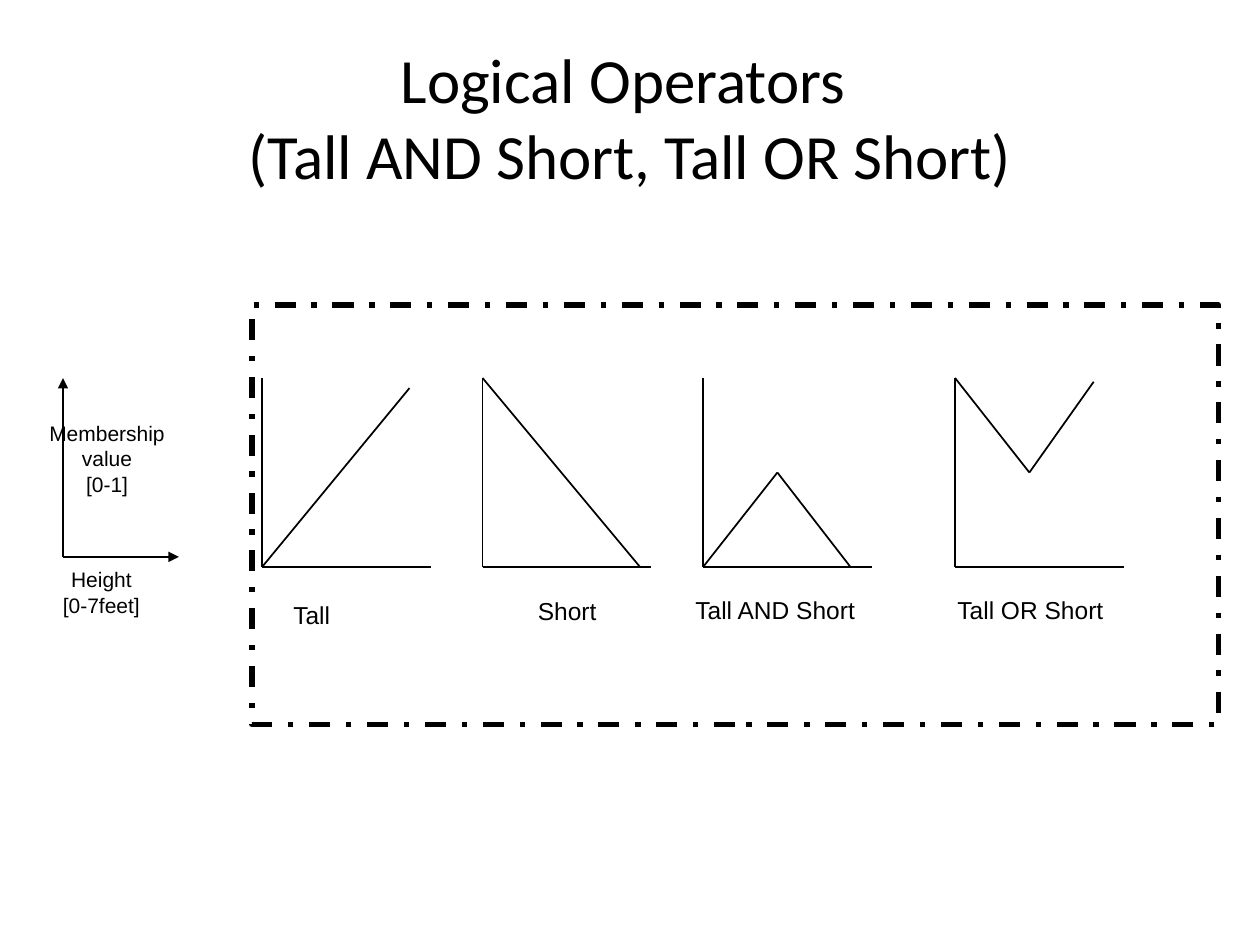
from pptx import Presentation
from pptx.dml.color import RGBColor
from pptx.enum.dml import MSO_LINE
from pptx.enum.shapes import MSO_CONNECTOR, MSO_SHAPE
from pptx.enum.text import MSO_ANCHOR, PP_ALIGN
from pptx.oxml.ns import qn
from pptx.util import Inches, Pt
from lxml.etree import SubElement

BLACK = RGBColor(0x00, 0x00, 0x00)
AXIS_TOP, AXIS_BOTTOM, AXIS_WIDTH = 3, 4.5, 1.34

# Name, axis left, curve points (offset from axis, y), label left, top, width, height
GRAPHS = [
    ("Tall", 2.08, [(0, 4.5), (1.17, 3.08)], (2.23, 4.71, 0.6, 0.4)),
    ("Short", 3.83, [(0, 3), (1.25, 4.5)], (4.17, 4.68, 0.8, 0.4)),
    ("Tall AND Short", 5.58, [(0, 4.5), (0.59, 3.75), (1.17, 4.5)],
     (5.42, 4.67, 1.68, 0.4)),
    ("Tall OR Short", 7.58, [(0, 3), (0.59, 3.75), (1.1, 3.03)],
     (7.5, 4.67, 1.51, 0.71)),
]


class SlideBuilder:
    def __init__(self, page):
        self.page = page
        self.color = BLACK
        self.title_font, self.label_font = "Calibri", "Arial"

    def format_text(self, frame, font, size, align):
        for para in frame.paragraphs:
            para.alignment = align
            for span in para.runs:
                span.font.name = font
                span.font.size = Pt(size)
                span.font.color.rgb = self.color

    def title(self, text, left, top, width, height):
        box = self.page.shapes.title
        box.left, box.top = Inches(left), Inches(top)
        box.width, box.height = Inches(width), Inches(height)
        frame = box.text_frame
        frame.text = text
        frame.vertical_anchor = MSO_ANCHOR.MIDDLE
        self.format_text(frame, self.title_font, 36, PP_ALIGN.CENTER)

    def label(self, text, place, size=14, align=PP_ALIGN.LEFT):
        box = self.page.shapes.add_textbox(*map(Inches, place))
        frame = box.text_frame
        frame.word_wrap = True
        frame.text = text
        self.format_text(frame, self.label_font, size, align)

    def line(self, start, end, arrow=False):
        connector = self.page.shapes.add_connector(
            MSO_CONNECTOR.STRAIGHT, *map(Inches, (*start, *end)))
        connector.line.color.rgb = self.color
        connector.line.width = Pt(1)
        properties = connector.element.spPr
        if arrow:
            outline = properties.find(qn("a:ln"))
            SubElement(outline, qn("a:tailEnd")).set("type", "triangle")
        SubElement(properties, qn("a:effectLst"))

    def polyline(self, points):
        for start, end in zip(points, points[1:]):
            self.line(start, end)

    def dashed_frame(self, left, top, width, height):
        frame = self.page.shapes.add_shape(
            MSO_SHAPE.RECTANGLE, *map(Inches, (left, top, width, height)))
        frame.shadow.inherit = False
        frame.fill.background()
        frame.line.color.rgb = self.color
        frame.line.width = Pt(3)
        frame.line.dash_style = MSO_LINE.DASH_DOT

    def graph(self, name, left, curve, label_place):
        self.polyline([(left, AXIS_TOP), (left, AXIS_BOTTOM),
                       (left + AXIS_WIDTH, AXIS_BOTTOM)])
        self.polyline([(left + offset, y) for offset, y in curve])
        self.label(name, label_place)


def main():
    deck = Presentation()
    deck.slide_width, deck.slide_height = Inches(10), Inches(7.5)
    builder = SlideBuilder(deck.slides.add_slide(deck.slide_layouts[5]))

    builder.title("Logical Operators \v(Tall AND Short, Tall OR Short)",
                  0.5, 0.3, 9, 1.25)

    # Axis legend
    origin = (0.5, 4.42)
    for tip in [(0.5, 3), (1.42, 4.42)]:
        builder.line(origin, tip, arrow=True)
    builder.label("Membership\vvalue\n[0-1]", (0.07, 3.29, 1.56, 0.5),
                  12, PP_ALIGN.CENTER)
    builder.label("Height\n[0-7feet]", (0.4, 4.45, 0.81, 0.5),
                  12, PP_ALIGN.CENTER)

    # Membership graphs inside the dashed frame
    builder.dashed_frame(2, 2.42, 7.67, 3.33)
    for graph in GRAPHS:
        builder.graph(*graph)

    deck.save("out.pptx")


if __name__ == "__main__":
    main()
